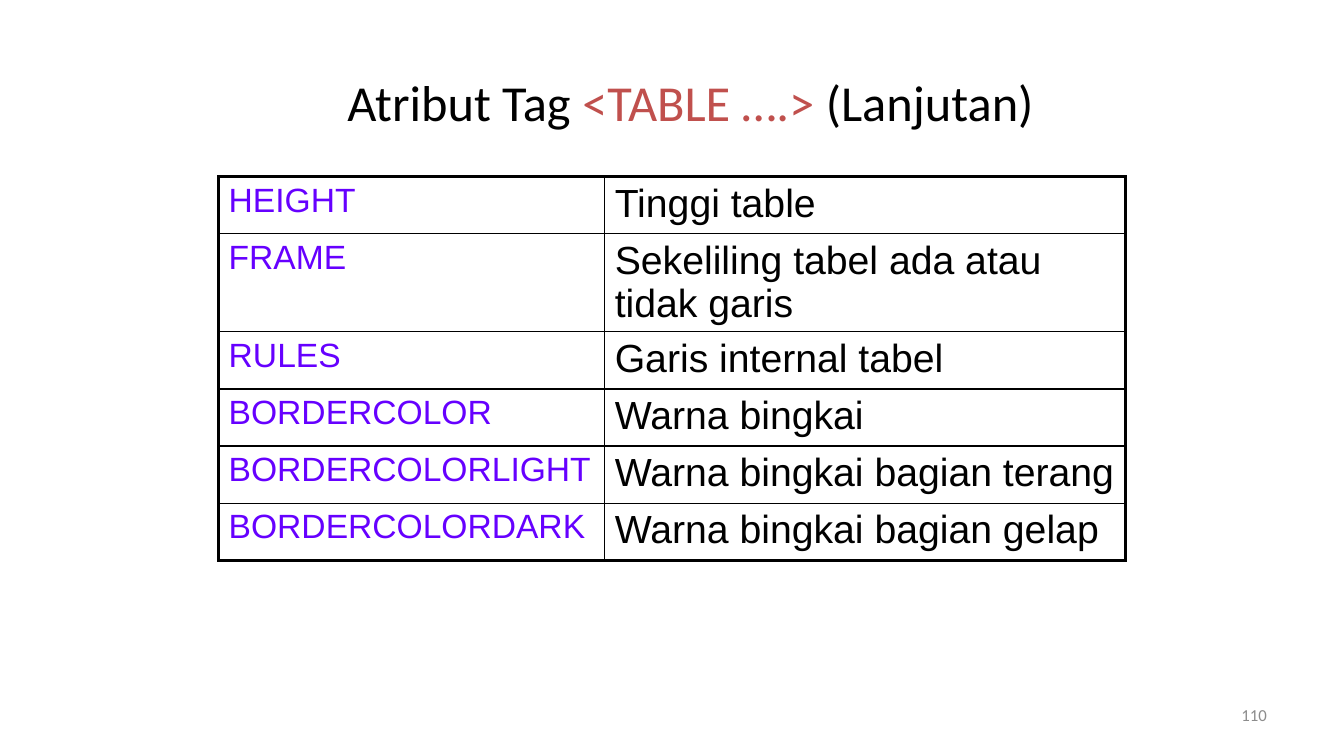
from lxml.etree import SubElement
from pptx import Presentation
from pptx.dml.color import RGBColor
from pptx.enum.text import MSO_ANCHOR, PP_ALIGN
from pptx.oxml.ns import qn
from pptx.util import Cm, Pt

COLORS = {
    "text": "000000",
    "tag": "C0504D",
    "attribute": "6600FF",
    "border": "000000",
    "number": "8C8C8C",
}
ATTRIBUTES = [
    ("HEIGHT", "Tinggi table"),
    ("FRAME", "Sekeliling tabel ada atau tidak garis"),
    ("RULES", "Garis internal tabel"),
    ("BORDERCOLOR", "Warna bingkai"),
    ("BORDERCOLORLIGHT", "Warna bingkai bagian terang"),
    ("BORDERCOLORDARK", "Warna bingkai bagian gelap"),
]
COLUMN_WIDTHS = [Cm(9.73), Cm(13.13)]
ROW_HEIGHTS = [Cm(1.44), Cm(2.47)] + [Cm(1.44)] * 4
OUTER_BORDER, INNER_BORDER = Pt(2.25), Pt(1)


def add_run(paragraph, text, font_name, size, color):
    run = paragraph.add_run()
    run.text = text
    run.font.name = font_name
    run.font.size = Pt(size)
    run.font.color.rgb = RGBColor.from_string(COLORS[color])


def place(shape, left, top, width, height):
    shape.left, shape.top = Cm(left), Cm(top)
    shape.width, shape.height = Cm(width), Cm(height)


def add_title(slide):
    title = slide.shapes.title
    place(title, 7.14, 1.14, 20.52, 2.84)
    title.text_frame.vertical_anchor = MSO_ANCHOR.MIDDLE
    paragraph = title.text_frame.paragraphs[0]
    paragraph.alignment = PP_ALIGN.CENTER
    add_run(paragraph, "Atribut Tag ", "Calibri", 36, "text")
    add_run(paragraph, "<TABLE ….>", "Calibri", 36, "tag")
    add_run(paragraph, " (Lanjutan)", "Calibri", 36, "text")


def set_borders(cell, widths):
    """Draw the left, right, top and bottom borders; call before filling the cell."""
    properties = cell._tc.get_or_add_tcPr()
    for side, width in zip("LRTB", widths):
        line = SubElement(properties, qn(f"a:ln{side}"), w=str(width))
        fill = SubElement(line, qn("a:solidFill"))
        SubElement(fill, qn("a:srgbClr"), val=COLORS["border"])


def add_attribute_table(slide):
    row_count, column_count = len(ATTRIBUTES), len(COLUMN_WIDTHS)
    frame = slide.shapes.add_table(
        row_count, column_count, Cm(5.51), Cm(4.45),
        sum(COLUMN_WIDTHS), sum(ROW_HEIGHTS))
    table = frame.table
    table.first_row = table.horz_banding = False
    for column, width in zip(table.columns, COLUMN_WIDTHS):
        column.width = width
    for row, height in zip(table.rows, ROW_HEIGHTS):
        row.height = height

    for row_index, texts in enumerate(ATTRIBUTES):
        for column_index, text in enumerate(texts):
            cell = table.cell(row_index, column_index)
            on_edge = (column_index == 0, column_index == column_count - 1,
                       row_index == 0, row_index == row_count - 1)
            set_borders(cell, [OUTER_BORDER if edge else INNER_BORDER for edge in on_edge])
            cell.fill.background()
            size, color = ((24, "attribute"), (28, "text"))[column_index]
            add_run(cell.text_frame.paragraphs[0], text, "Arial", size, color)


def add_page_number(slide, number):
    box = slide.shapes.add_textbox(Cm(24.28), Cm(17.35), Cm(7.9), Cm(1.32))
    box.text_frame.word_wrap = True
    box.text_frame.vertical_anchor = MSO_ANCHOR.MIDDLE
    paragraph = box.text_frame.paragraphs[0]
    paragraph.alignment = PP_ALIGN.RIGHT
    add_run(paragraph, number, "Calibri", 12, "number")


def main():
    presentation = Presentation()
    presentation.slide_width, presentation.slide_height = Cm(33.87), Cm(19.05)
    slide = presentation.slides.add_slide(presentation.slide_layouts.get_by_name("Title Only"))
    add_title(slide)
    add_attribute_table(slide)
    add_page_number(slide, "110")
    presentation.save("out.pptx")


if __name__ == "__main__":
    main()
